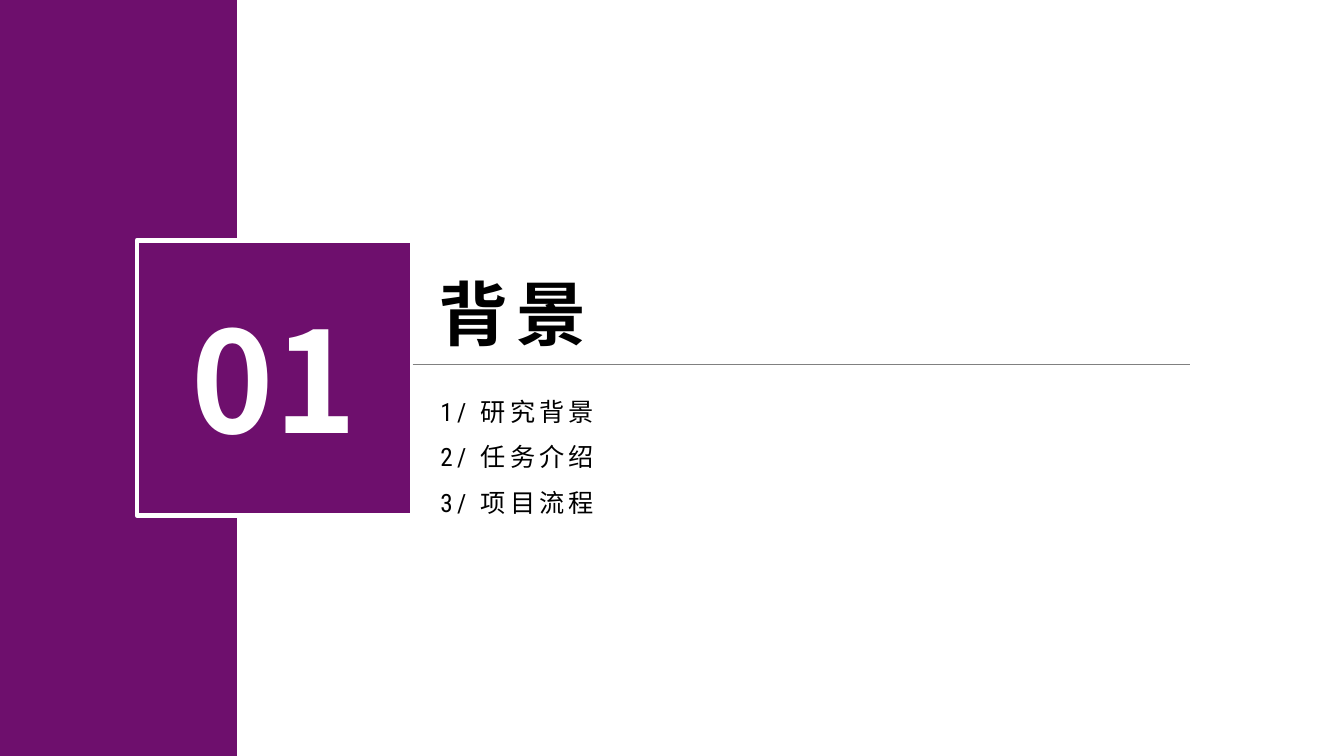
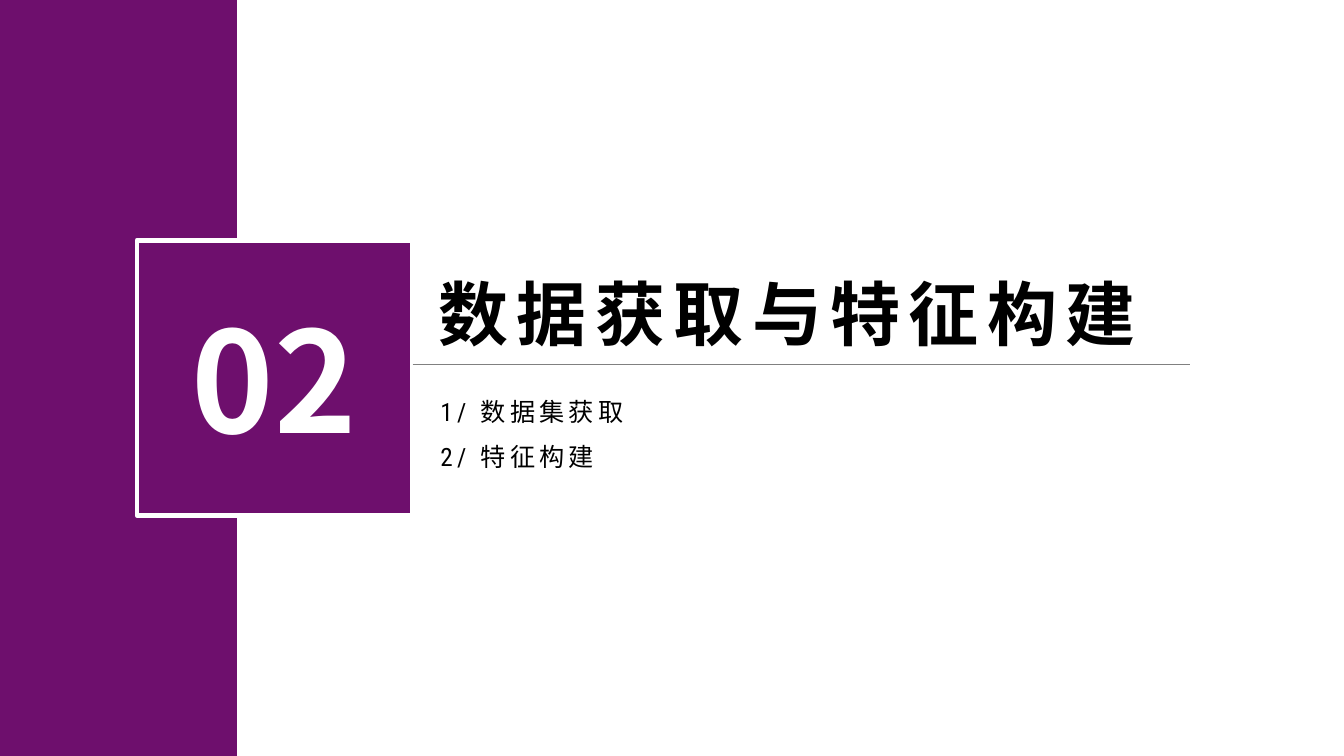
"""Build the section divider slides of the presentation."""
from lxml import etree
from pptx import Presentation
from pptx.dml.color import RGBColor
from pptx.enum.shapes import MSO_CONNECTOR, MSO_SHAPE
from pptx.enum.text import MSO_ANCHOR, MSO_AUTO_SIZE, PP_ALIGN
from pptx.oxml.ns import qn
from pptx.util import Cm, Pt

PURPLE = RGBColor(0x6E, 0x0F, 0x6D)
WHITE = RGBColor(0xFF, 0xFF, 0xFF)
BLACK = RGBColor(0x00, 0x00, 0x00)
GRAY = RGBColor(0x80, 0x80, 0x80)
HEAD_FONT = "Noto Sans CJK SC"
LIST_FONT = "Roboto Condensed"
RECTANGLE = MSO_SHAPE.RECTANGLE
STRAIGHT = MSO_CONNECTOR.STRAIGHT
MIDDLE, TOP = MSO_ANCHOR.MIDDLE, MSO_ANCHOR.TOP
LEFT, CENTER = PP_ALIGN.LEFT, PP_ALIGN.CENTER
NO_AUTOFIT = MSO_AUTO_SIZE.NONE
TITLE_AND_CONTENT = 1

SECTIONS = [
    ("01", "背景", ["研究背景", "任务介绍", "项目流程"]),
    ("02", "数据获取与特征构建", ["数据集获取", "特征构建"]),
]


def write_text(shape, lines, *, size, font=HEAD_FONT, color=BLACK, bold=False,
               tracking=0, align=LEFT, anchor=MIDDLE, line_spacing=1.0):
    """Fill a shape with one unbulleted paragraph per line."""
    frame = shape.text_frame
    frame.word_wrap = True
    frame.auto_size = NO_AUTOFIT
    frame.vertical_anchor = anchor
    frame.margin_left = frame.margin_right = 0
    frame.margin_top = frame.margin_bottom = 0
    for index, line in enumerate(lines):
        paragraph = frame.paragraphs[0] if index == 0 else frame.add_paragraph()
        paragraph.alignment = align
        paragraph.line_spacing = line_spacing
        paragraph.space_before = Pt(0)
        properties = paragraph._p.get_or_add_pPr()
        properties.set("marL", "0")
        properties.set("indent", "0")
        etree.SubElement(properties, qn("a:buNone"))
        run = paragraph.add_run()
        run.text = line
        run.font.size = Pt(size)
        run.font.bold = bold
        run.font.color.rgb = color
        run.font.name = font
        run_properties = run._r.get_or_add_rPr()
        run_properties.set("spc", str(tracking * 100))
        east_asian = etree.SubElement(run_properties, qn("a:ea"))
        east_asian.set("typeface", HEAD_FONT)


class SectionDeck:
    """Hold the presentation, its style and the current slide."""

    def __init__(self):
        self.presentation = Presentation()
        self.presentation.slide_width = Cm(33.87)
        self.presentation.slide_height = Cm(19.05)
        self.slide = None

    def add_slide(self):
        """Start a new slide with title and body placeholders."""
        layout = self.presentation.slide_layouts[TITLE_AND_CONTENT]
        self.slide = self.presentation.slides.add_slide(layout)

    def rectangle(self, left, top, width, height):
        """Add a flat purple rectangle."""
        shape = self.slide.shapes.add_shape(RECTANGLE, left, top, width, height)
        shape.shadow.inherit = False
        shape.fill.solid()
        shape.fill.fore_color.rgb = PURPLE
        shape.line.fill.background()
        return shape

    def band(self):
        """Add the band along the left edge."""
        self.rectangle(0, 0, Cm(5.97), self.presentation.slide_height)

    def number(self, text):
        """Add the framed square with the section number."""
        square = self.rectangle(Cm(3.45), Cm(6.06), Cm(6.93), Cm(6.93))
        square.line.color.rgb = WHITE
        square.line.width = Pt(3.25)
        write_text(square, [text], size=100, color=WHITE, bold=True, align=CENTER)

    def rule(self):
        """Add the thin line under the title."""
        line = self.slide.shapes.add_connector(
            STRAIGHT, Cm(10.4), Cm(9.19), Cm(30), Cm(9.19))
        line.line.color.rgb = GRAY
        line.line.width = Pt(0.75)
        etree.SubElement(line._element.spPr, qn("a:effectLst"))

    def place(self, shape, left, top, width, height):
        """Move a placeholder."""
        shape.left, shape.top = left, top
        shape.width, shape.height = width, height

    def title(self, text):
        """Fill the title placeholder."""
        shape = self.slide.shapes.title
        self.place(shape, Cm(11.05), Cm(6.68), Cm(19.9), Cm(2.4))
        write_text(shape, [text], size=50, bold=True, tracking=6)

    def contents(self, topics):
        """Fill the body placeholder with numbered topics."""
        shape = self.slide.placeholders[1]
        self.place(shape, Cm(11.1), Cm(9.6), Cm(14.22), Cm(5.6))
        lines = [f"{index}/ {topic}" for index, topic in enumerate(topics, 1)]
        write_text(shape, lines, size=18, font=LIST_FONT, tracking=3,
                   anchor=TOP, line_spacing=1.5)


def main():
    """Build every section slide and save the file."""
    deck = SectionDeck()
    for number, title, topics in SECTIONS:
        deck.add_slide()
        deck.band()
        deck.number(number)
        deck.title(title)
        deck.rule()
        deck.contents(topics)
    deck.presentation.save("out.pptx")


if __name__ == "__main__":
    main()
